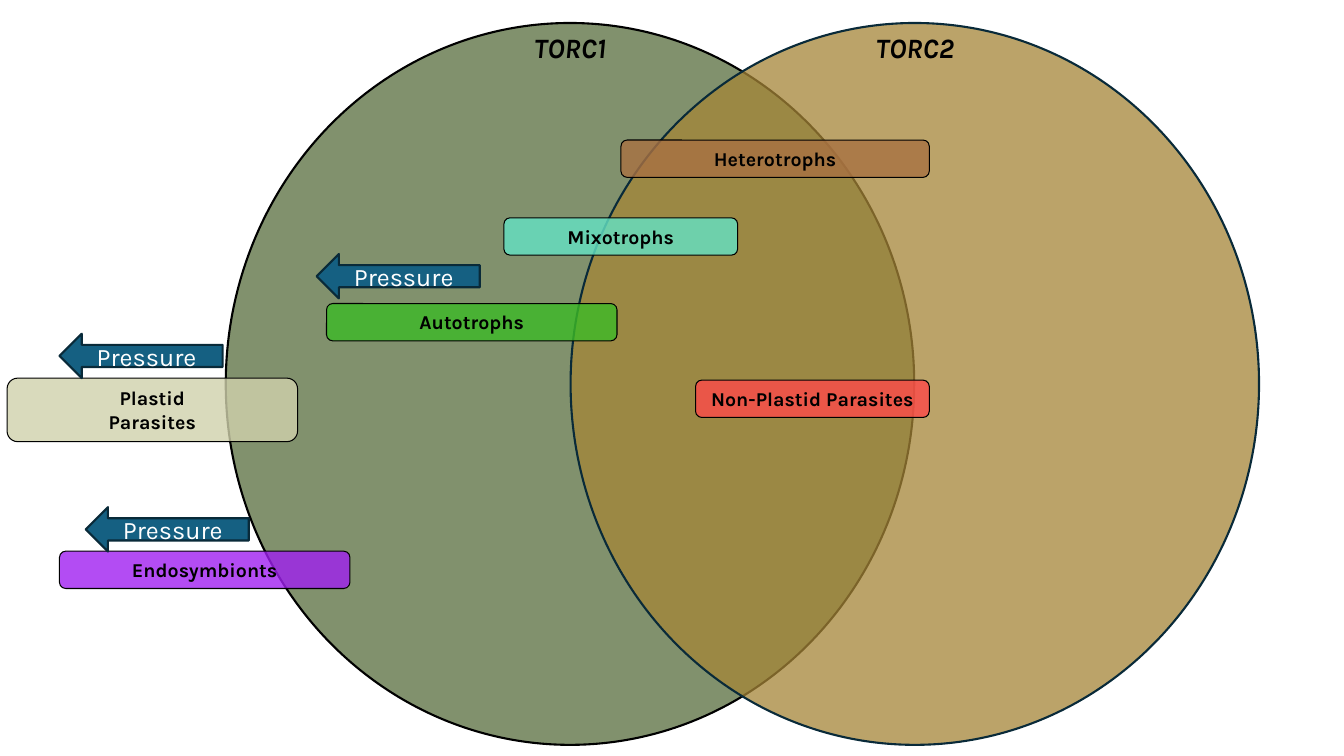
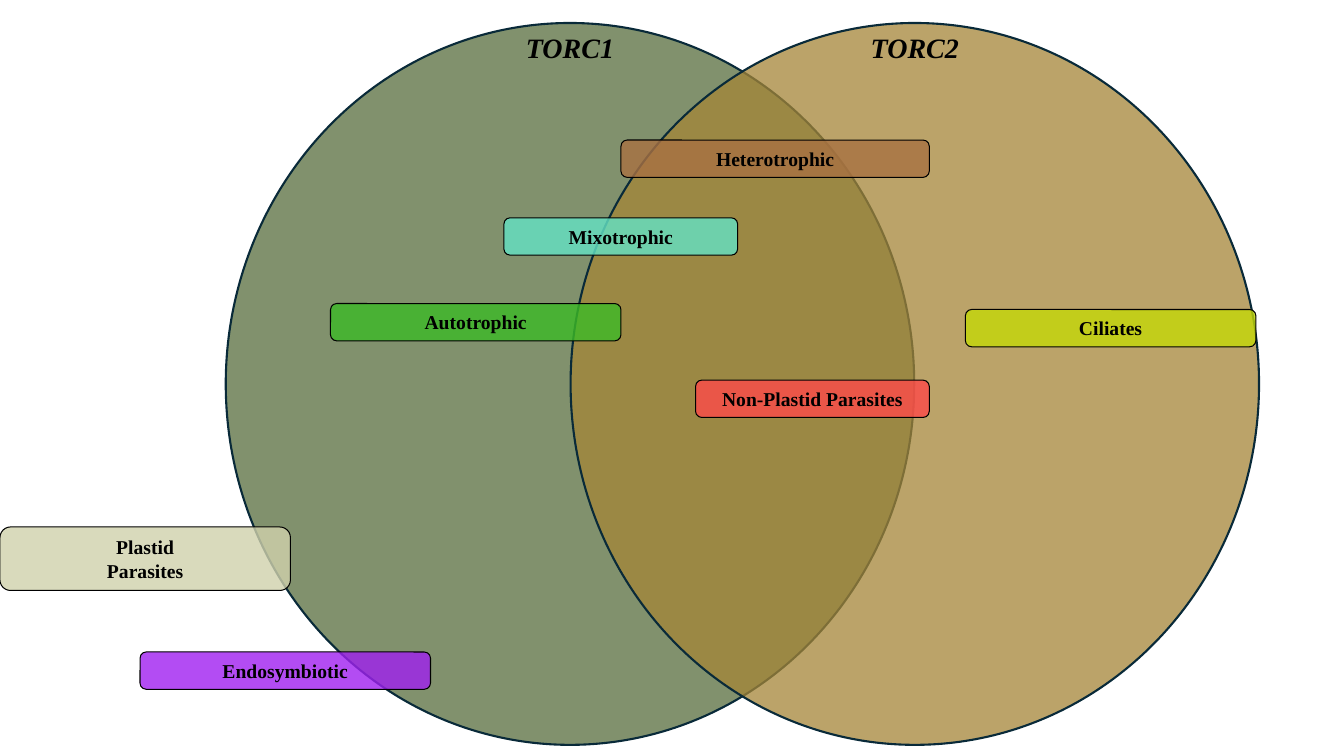
from dataclasses import dataclass

from pptx import Presentation
from pptx.dml.color import RGBColor
from pptx.enum.shapes import MSO_SHAPE as Shape
from pptx.enum.text import MSO_ANCHOR as Anchor, MSO_AUTO_SIZE as AutoSize, PP_ALIGN as Align
from pptx.oxml.ns import qn
from pptx.util import Cm, Pt
from lxml.etree import SubElement

BLACK, WHITE, NAVY, BLUE = "000000", "FFFFFF", "092A39", "156082"
MIXO, HETERO, AUTO, NON_PLASTID = "63E3C5", "A87142", "3CBA26", "FE4A49"
PLASTID, ENDO, CILIATE = "D0D1AC", "A020F0", "C4D808"

CIRCLE_LEFT, CIRCLE_TOP, CIRCLE_W, CIRCLE_H = 5.69, 0.58, 17.35, 18.19
CIRCLE_STEP = 8.69
TITLE_TOP, TITLE_W, TITLE_H = 0.64, 4.67, 1.12
LABEL_LINE_H = {1: 0.94, 2: 1.6}
NARROW, MEDIUM, WIDE = 5.89, 7.32, 7.77
ARROW_W, ARROW_H = 4.11, 1.12


@dataclass(frozen=True)
class Circle:
    title: str
    fill: str
    line: str


@dataclass(frozen=True)
class Label:
    text: str
    fill: str
    left: float
    top: float
    width: float = MEDIUM


@dataclass(frozen=True)
class Venn:
    font: str
    circles: tuple[Circle, ...]
    labels: tuple[Label, ...]
    arrows: tuple[tuple[float, float], ...] = ()


VENNS = (
    Venn(
        "Karla",
        (Circle("TORC1", "586D3D", BLACK), Circle("TORC2", "A58537", NAVY)),
        (
            Label("Mixotrophs", MIXO, 12.7, 5.49, NARROW),
            Label("Heterotrophs", HETERO, 15.65, 3.53, WIDE),
            Label("Autotrophs", AUTO, 8.23, 7.65),
            Label("Non-Plastid Parasites", NON_PLASTID, 17.53, 9.58, NARROW),
            Label("Plastid\nParasites", PLASTID, 0.18, 9.53),
            Label("Endosymbionts", ENDO, 1.5, 13.89),
        ),
        ((7.98, 6.4), (1.5, 8.41), (2.16, 12.78)),
    ),
    Venn(
        "Times New Roman",
        (Circle("TORC1", "586D3D", NAVY), Circle("TORC2", "A58537", NAVY)),
        (
            Label("Mixotrophic", MIXO, 12.7, 5.49, NARROW),
            Label("Heterotrophic", HETERO, 15.65, 3.53, WIDE),
            Label("Autotrophic", AUTO, 8.33, 7.65),
            Label("Non-Plastid Parasites", NON_PLASTID, 17.53, 9.58, NARROW),
            Label("Plastid\nParasites", PLASTID, 0, 13.28),
            Label("Endosymbiotic", ENDO, 3.53, 16.43),
            Label("Ciliates", CILIATE, 24.33, 7.8),
        ),
    ),
)


def rgb(color: str) -> RGBColor:
    return RGBColor.from_string(color)


def add_shape(shapes, kind, left: float, top: float, width: float, height: float,
              fill: str, line: str, weight: float, opacity: int = 100):
    """Add an outlined preset shape; lengths in cm, opacity in percent."""
    s = shapes.add_shape(kind, Cm(left), Cm(top), Cm(width), Cm(height))
    s.shadow.inherit = False
    s.fill.solid()
    s.fill.fore_color.rgb = rgb(fill)
    if opacity < 100:
        color = s.fill._xPr.find(qn("a:solidFill"))[0]
        SubElement(color, qn("a:alpha")).set("val", str(opacity * 1000))
    s.line.color.rgb = rgb(line)
    s.line.width = Pt(weight)
    return s


def set_text(s, text: str, font: str, size: int, color: str = BLACK, bold: bool = True,
             italic: bool = False, anchor=Anchor.TOP, grow: bool = True) -> None:
    tf = s.text_frame
    tf.text = text
    tf.word_wrap = True
    tf.vertical_anchor = anchor
    tf.auto_size = AutoSize.SHAPE_TO_FIT_TEXT if grow else AutoSize.NONE
    for p in tf.paragraphs:
        p.alignment = Align.CENTER
        for r in p.runs:
            r.font.name = font
            r.font.size = Pt(size)
            r.font.bold = bold
            r.font.italic = italic
            r.font.color.rgb = rgb(color)


def add_circle(shapes, index: int, circle: Circle) -> None:
    add_shape(shapes, Shape.OVAL, CIRCLE_LEFT + index * CIRCLE_STEP, CIRCLE_TOP,
              CIRCLE_W, CIRCLE_H, circle.fill, circle.line, 1.5, 75)


def add_title(shapes, index: int, circle: Circle, font: str) -> None:
    """Centre the circle's name under its top edge."""
    left = CIRCLE_LEFT + index * CIRCLE_STEP + (CIRCLE_W - TITLE_W) / 2
    s = shapes.add_textbox(Cm(left), Cm(TITLE_TOP), Cm(TITLE_W), Cm(TITLE_H))
    set_text(s, circle.title, font, 20, italic=True)


def add_label(shapes, label: Label, font: str) -> None:
    height = LABEL_LINE_H[len(label.text.splitlines())]
    s = add_shape(shapes, Shape.ROUNDED_RECTANGLE, label.left, label.top, label.width,
                  height, label.fill, BLACK, 0.75, 80)
    set_text(s, label.text, font, 14)


def add_pressure_arrow(shapes, left: float, top: float, font: str) -> None:
    s = add_shape(shapes, Shape.LEFT_ARROW, left, top, ARROW_W, ARROW_H, BLUE, NAVY, 1.5)
    set_text(s, "Pressure", font, 18, WHITE, bold=False, anchor=Anchor.MIDDLE, grow=False)


def add_venn_slide(prs, venn: Venn) -> None:
    slide = prs.slides.add_slide(prs.slide_layouts[6])
    diagram = slide.shapes.add_group_shape().shapes
    for i, circle in enumerate(venn.circles):
        add_circle(diagram, i, circle)
    for label in venn.labels:
        add_label(diagram, label, venn.font)
    for i, circle in enumerate(venn.circles):
        add_title(diagram, i, circle, venn.font)
    for left, top in venn.arrows:
        add_pressure_arrow(slide.shapes, left, top, venn.font)


def main() -> None:
    prs = Presentation()
    prs.slide_width, prs.slide_height = Cm(33.87), Cm(19.05)
    for venn in VENNS:
        add_venn_slide(prs, venn)
    prs.save("out.pptx")


if __name__ == "__main__":
    main()
